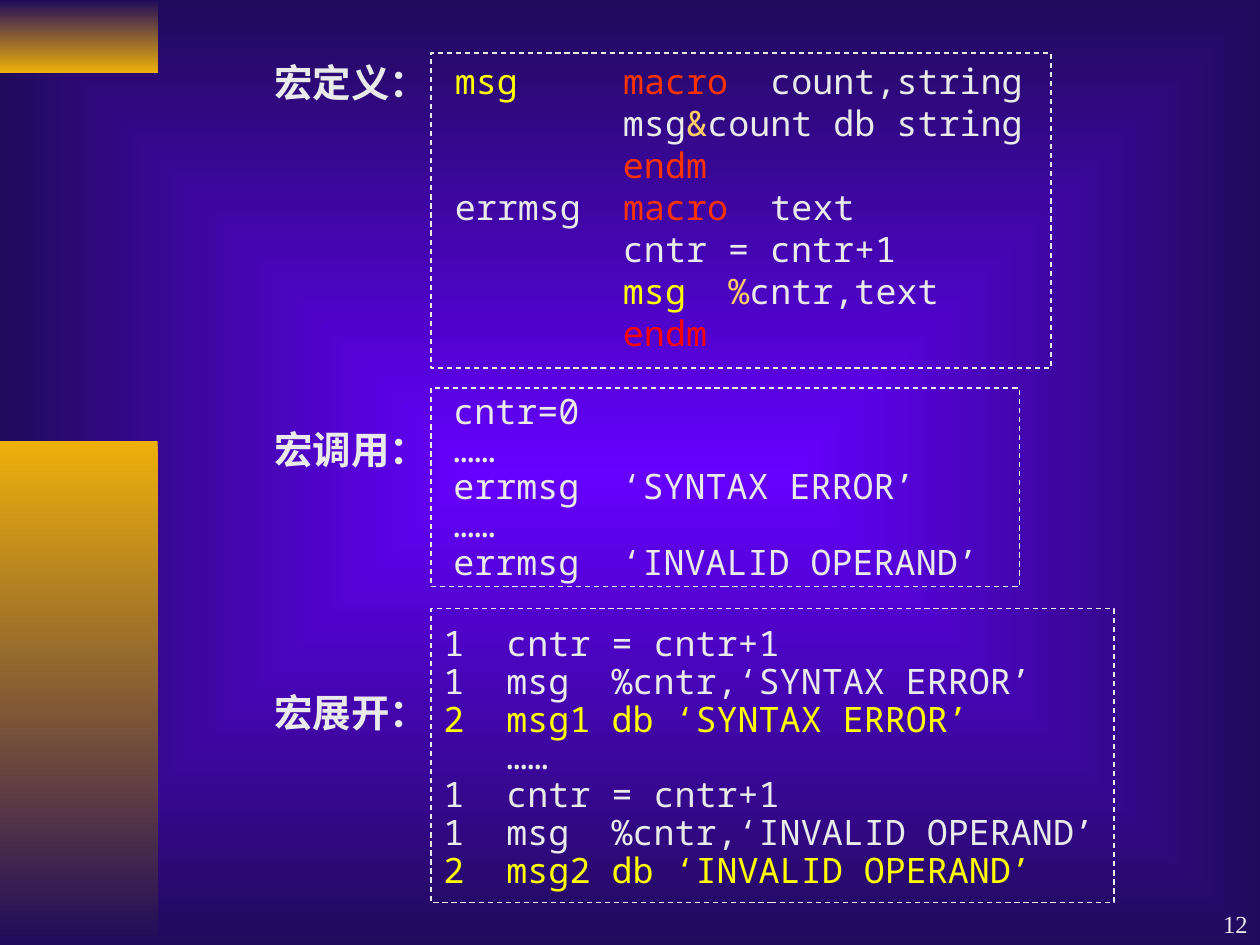
from lxml import etree
from pptx import Presentation
from pptx import util as u
from pptx.dml.color import RGBColor
from pptx.enum import dml, shapes, text
from pptx.oxml.ns import qn

Cm = u.Cm
HUES = {"pale": "EAEAEA", "yellow": "FFFF00", "orange": "FF3300",
        "red": "FF0000", "sand": "FFCC66", "gold": "EEB00B",
        "navy": "200B5B", "violet": "6600FF"}
CODE = "Noto Sans Mono"


def blend(fill, start, end):
    fill.gradient()
    for stop, hue in zip(fill.gradient_stops, (start, end)):
        stop.color.rgb = RGBColor.from_string(HUES[hue])


def write(area, lines, size, font, bold=False, space=None, hang=0,
          align=text.PP_ALIGN.JUSTIFY, anchor=text.MSO_ANCHOR.TOP):
    frame = slide.shapes.add_textbox(*map(Cm, area)).text_frame
    frame.word_wrap = True
    frame.vertical_anchor = anchor
    for i, line in enumerate(lines):
        para = frame.add_paragraph() if i else frame.paragraphs[0]
        para.alignment = align
        para.line_spacing = space
        if hang:
            props = para._p.get_or_add_pPr()
            props.set("marL", str(Cm(hang)))
            props.set("indent", str(-Cm(hang)))
        for hue, words in line:
            run = para.add_run()
            run.text = words
            run.font.size = u.Pt(size)
            run.font.name = font
            run.font.bold = bold
            run.font.color.rgb = RGBColor.from_string(HUES[hue])


deck = Presentation()
deck.slide_width, deck.slide_height = Cm(25.4), Cm(19.05)
slide = deck.slides.add_slide(deck.slide_layouts[6])

# Background glowing from the centre
blend(slide.background.fill, "violet", "navy")
lin = next(slide.element.iter(qn("a:lin")))
glow = etree.Element(qn("a:path"), path="rect")
etree.SubElement(glow, qn("a:fillToRect"),
                 {side: "50000" for side in "ltrb"})
lin.getparent().replace(lin, glow)

# Gold bars at the left edge
for top, high, start, end in [(0, 1.47, "navy", "gold"),
                              (8.89, 10.16, "gold", "navy")]:
    bar = slide.shapes.add_shape(shapes.MSO_SHAPE.RECTANGLE,
                                 0, Cm(top), Cm(3.18), Cm(high))
    bar.shadow.inherit = False
    bar.line.fill.background()
    blend(bar.fill, start, end)
    bar.fill.gradient_angle = 270

# Code of each step
define = [
    [("yellow", "msg     "), ("orange", "macro"), ("pale", "  count,string")],
    [("pale", "        msg"), ("sand", "&"), ("pale", "count db string")],
    [("orange", "        endm")],
    [("pale", "errmsg"), ("orange", "  macro  "), ("pale", "text")],
    [("pale", "        cntr = cntr+1")],
    [("yellow", "        msg  "), ("sand", "%"), ("pale", "cntr,text")],
    [("red", "        endm")],
]
call = [[("pale", line)] for line in (
    "cntr=0", "……", "errmsg  ‘SYNTAX ERROR’",
    "……", "errmsg  ‘INVALID OPERAND’")]
expand = [[("yellow" if line[0] == "2" else "pale", line)] for line in (
    "1  cntr = cntr+1",
    "1  msg  %cntr,‘SYNTAX ERROR’",
    "2  msg1 db ‘SYNTAX ERROR’",
    "   ……",
    "1  cntr = cntr+1",
    "1  msg  %cntr,‘INVALID OPERAND’",
    "2  msg2 db ‘INVALID OPERAND’")]

# Label, code and dashed frame of each step
steps = [
    ("宏定义：", 1.07, define, (8.92, 1.07, 12.47, 6.2),
     (8.69, 1.07, 12.5, 6.35), None, 0),
    ("宏调用：", 8.46, call, (8.89, 7.82, 11.86, 4.06),
     (8.69, 7.82, 11.86, 4.01), 0.9, 0),
    ("宏展开：", 13.77, expand, (8.69, 12.5, 13.77, 5.59),
     (8.69, 12.27, 13.77, 5.92), 0.9, 1.27),
]
for label, top, code, area, edge, space, hang in steps:
    write((5.28, top, 4.24, 1.19), [[("pale", label)]], 22,
          "DejaVu Sans Mono", bold=True)
    write(area, code, 20, CODE, space=space, hang=hang)
    box = slide.shapes.add_shape(shapes.MSO_SHAPE.RECTANGLE, *map(Cm, edge))
    box.shadow.inherit = False
    box.fill.background()
    box.line.color.rgb = RGBColor.from_string(HUES["pale"])
    box.line.width = u.Pt(0.75)
    box.line.dash_style = dml.MSO_LINE.DASH

# Page number
write((20.12, 17.78, 5.28, 1.27), [[("pale", "12")]], 14, "Times New Roman",
      align=text.PP_ALIGN.RIGHT, anchor=text.MSO_ANCHOR.BOTTOM)

deck.save("out.pptx")
